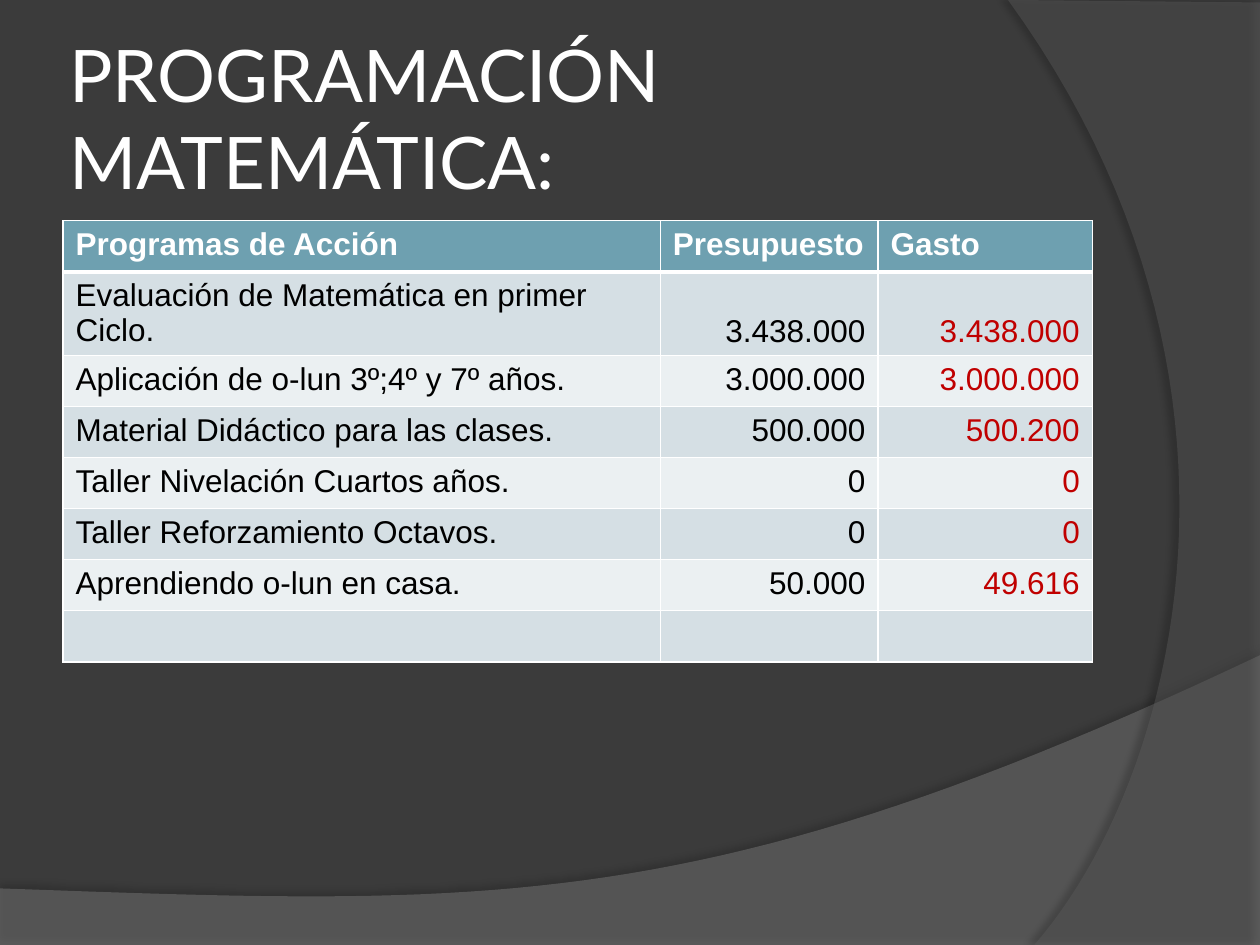
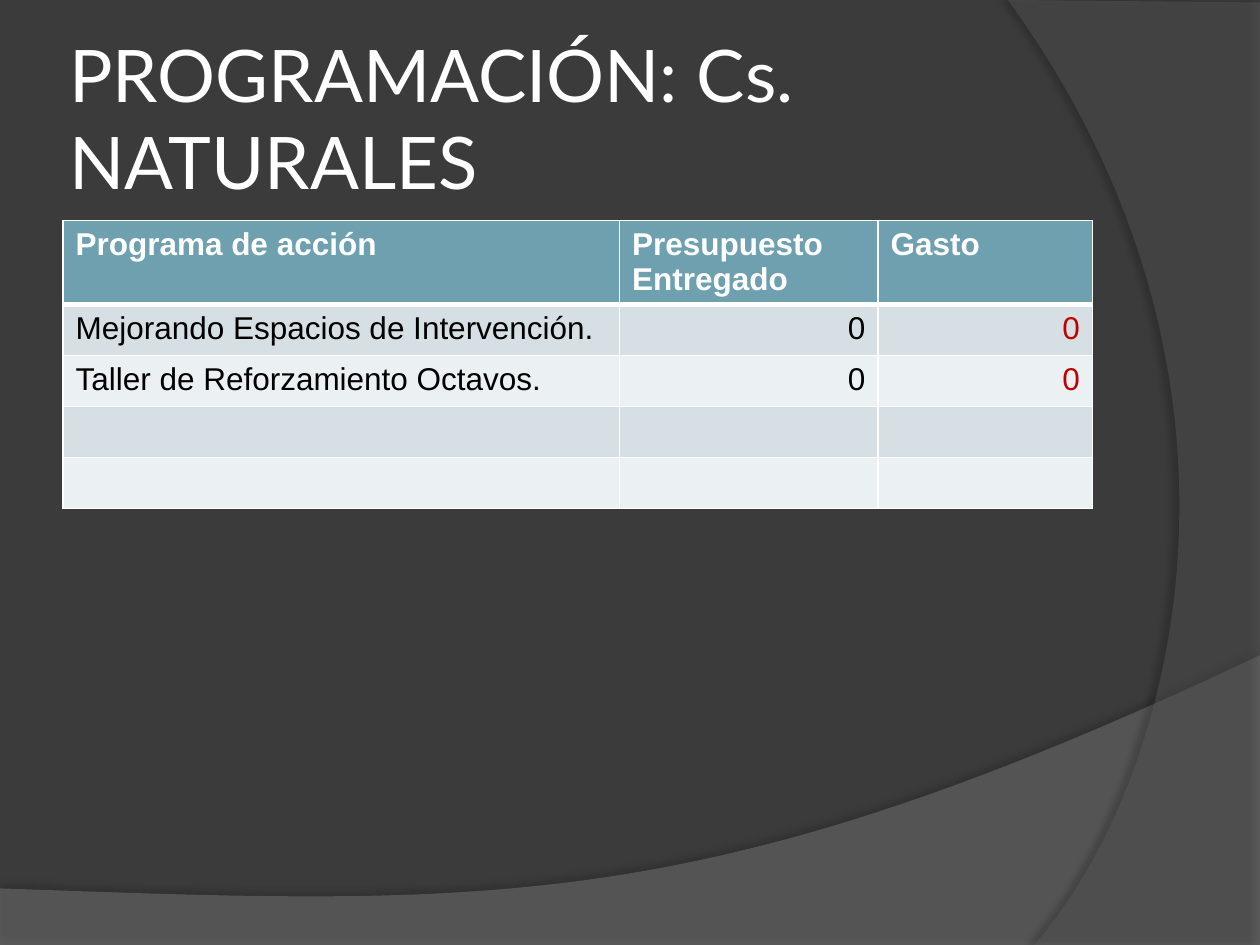
from collections import namedtuple

from lxml import etree
from pptx import Presentation
from pptx import util as u
from pptx.dml.color import RGBColor
from pptx.enum import text
from pptx.oxml import ns

Cm, Pt = u.Cm, u.Pt
Box = namedtuple("Box", "left top width height")

BACKGROUND = RGBColor(0x3B, 0x3B, 0x3B)
WAVE = RGBColor(0x7F, 0x7F, 0x7F)
ARC = RGBColor(0x5E, 0x5E, 0x5E)
HEADER = RGBColor(0x6E, 0xA0, 0xB0)
BANDS = (RGBColor(0xD5, 0xDF, 0xE4), RGBColor(0xEB, 0xF0, 0xF2))
WHITE = RGBColor(0xFF, 0xFF, 0xFF)
BLACK = RGBColor(0, 0, 0)
RED = RGBColor(0xC0, 0, 0)

PAGE = Box(0, 0, 25.4, 19.05)
TITLE = Box(1.27, 0.76, 20.75, 3.18)
TABLE = Box(1.27, 4.45, 20.75, 1.03)
LEFT, RIGHT = text.PP_ALIGN.LEFT, text.PP_ALIGN.RIGHT

MATHS_ROWS = [
    ("Programas de Acción", "Presupuesto", "Gasto"),
    ("Evaluación de Matemática en primer Ciclo.", "3.438.000", "3.438.000"),
    ("Aplicación de o-lun 3º;4º y 7º años.", "3.000.000", "3.000.000"),
    ("Material Didáctico para las clases.", "500.000", "500.200"),
    ("Taller Nivelación Cuartos años.", "0", "0"),
    ("Taller Reforzamiento Octavos.", "0", "0"),
    ("Aprendiendo o-lun en casa.", "50.000", "49.616"),
    ("", "", ""),
]
SCIENCE_ROWS = [
    ("Programa de acción", "Presupuesto\nEntregado", "Gasto"),
    ("Mejorando Espacios de Intervención.", "0", "0"),
    ("Taller de Reforzamiento Octavos.", "0", "0"),
    ("", "", ""),
    ("", "", ""),
]


def add_element(parent, tag, **attributes):
    """Append a DrawingML element and return it."""
    element = etree.SubElement(parent, ns.qn(tag))
    for name, value in attributes.items():
        element.set(name, str(value))
    return element


def write_text(frame, words, size=18, font="Arial", color=BLACK, bold=False, align=LEFT):
    """Fill a text frame, one paragraph for each line of words."""
    frame.text = words
    for paragraph in frame.paragraphs:
        paragraph.alignment = align
        paragraph.font.size = Pt(size)
        for run in paragraph.runs:
            run.font.size = Pt(size)
            run.font.name = font
            run.font.bold = bold
            run.font.color.rgb = color


def bezier(start, first, second, end, steps=48):
    """Return points along a cubic curve, without its start."""
    points = []
    for step in range(1, steps + 1):
        t = step / steps
        s = 1 - t
        weights = (s ** 3, 3 * s * s * t, 3 * s * t * t, t ** 3)
        controls = (start, first, second, end)
        points.append(tuple(sum(w * point[axis] for w, point in zip(weights, controls))
                            for axis in (0, 1)))
    return points


def add_band(slide, box, points, color, opacity, shadow_opacity, distance, direction):
    """Draw a translucent outline with a soft shadow, in centimetres from the box corner."""
    corners = [(Cm(box.left + x), Cm(box.top + y)) for x, y in points]
    builder = slide.shapes.build_freeform(*corners[0])
    builder.add_line_segments(corners[1:], close=True)
    shape = builder.convert_to_shape()
    shape.line.fill.background()
    shape.fill.solid()
    shape.fill.fore_color.rgb = color
    fill_color = shape._element.spPr.find(ns.qn("a:solidFill")).find(ns.qn("a:srgbClr"))
    add_element(fill_color, "a:alpha", val=opacity * 1000)
    shape.shadow.inherit = False
    effects = shape._element.spPr.find(ns.qn("a:effectLst"))
    shadow = add_element(effects, "a:outerShdw", blurRad=Pt(4), dist=Pt(distance),
                         dir=direction * 60000, algn="ctr", rotWithShape=0)
    shadow_color = add_element(shadow, "a:srgbClr", val=BLACK)
    add_element(shadow_color, "a:alpha", val=shadow_opacity * 1000)


def add_backdrop(slide, box):
    """Draw the wave along the bottom and the arc at the right."""
    right, bottom = box.width, box.height
    wave = [(0, bottom), (right, bottom), (right, 13.21)]
    wave += bezier(wave[-1], (14.2, 18.52), (9.93, 18.26), (0, 17.91))
    add_band(slide, box, wave, WAVE, 45, 35, 3.5, 270)
    arc = [(right, 0.05), (right, bottom), (20.85, bottom)]
    arc += bezier(arc[-1], (23.75, 15.72), (25.86, 7.62), (20.32, 0))
    add_band(slide, box, arc, ARC, 40, 45, 4, 180)


def add_title(slide, box, words):
    """Place the slide title, centred vertically in its box."""
    frame = slide.shapes.add_textbox(*map(Cm, box)).text_frame
    frame.word_wrap = True
    frame.vertical_anchor = text.MSO_ANCHOR.MIDDLE
    frame.margin_left = frame.margin_right = Cm(0.13)
    frame.margin_top = frame.margin_bottom = Cm(0.13)
    write_text(frame, words, size=41.4, font="Lato", color=WHITE)


def set_borders(cell, widths):
    """Give a cell white borders, with widths in points by side."""
    properties = cell._tc.get_or_add_tcPr()
    for side, width in widths.items():
        line = add_element(properties, "a:ln" + side, w=Pt(width))
        add_element(add_element(line, "a:solidFill"), "a:srgbClr", val=WHITE)


def add_budget_table(slide, box, rows, column_widths, low_row):
    """Place a banded budget table; box height is one row, low_row has amounts at its foot."""
    frame = slide.shapes.add_table(len(rows), len(column_widths), Cm(box.left), Cm(box.top),
                                   Cm(box.width), Cm(box.height * len(rows)))
    table = frame.table
    table.horz_banding = False
    for column, width in zip(table.columns, column_widths):
        column.width = Cm(width)
    for row_index, values in enumerate(rows):
        is_header = row_index == 0
        table.rows[row_index].height = Cm(box.height)
        for column_index, value in enumerate(values):
            cell = table.cell(row_index, column_index)
            is_amount = column_index > 0 and not is_header
            set_borders(cell, {"L": 1, "R": 1, "T": 3 if row_index == 1 else 1,
                               "B": 3 if is_header else 1})
            cell.fill.solid()
            cell.fill.fore_color.rgb = HEADER if is_header else BANDS[(row_index - 1) % 2]
            if is_amount and row_index == low_row:
                cell.vertical_anchor = text.MSO_ANCHOR.BOTTOM
            else:
                cell.margin_bottom = Cm(0.03)
            color = WHITE if is_header else (BLACK, BLACK, RED)[column_index]
            write_text(cell.text_frame, value, color=color, bold=is_header,
                       align=RIGHT if is_amount else LEFT)


def add_budget_slide(presentation, title, rows, column_widths, low_row=None):
    """Add one slide with a title and a budget table."""
    slide = presentation.slides.add_slide(presentation.slide_layouts[6])
    add_backdrop(slide, PAGE)
    add_title(slide, TITLE, title)
    add_budget_table(slide, TABLE, rows, column_widths, low_row)


def main():
    """Build and save the presentation."""
    presentation = Presentation()
    presentation.slide_width, presentation.slide_height = Cm(PAGE.width), Cm(PAGE.height)
    background = presentation.slide_master.background.fill
    background.solid()
    background.fore_color.rgb = BACKGROUND
    add_budget_slide(presentation, "PROGRAMACIÓN MATEMÁTICA:", MATHS_ROWS,
                     (12.04, 4.39, 4.32), low_row=1)
    add_budget_slide(presentation, "PROGRAMACIÓN: Cs. NATURALES", SCIENCE_ROWS,
                     (11.22, 5.21, 4.32))
    presentation.save("out.pptx")


main()
